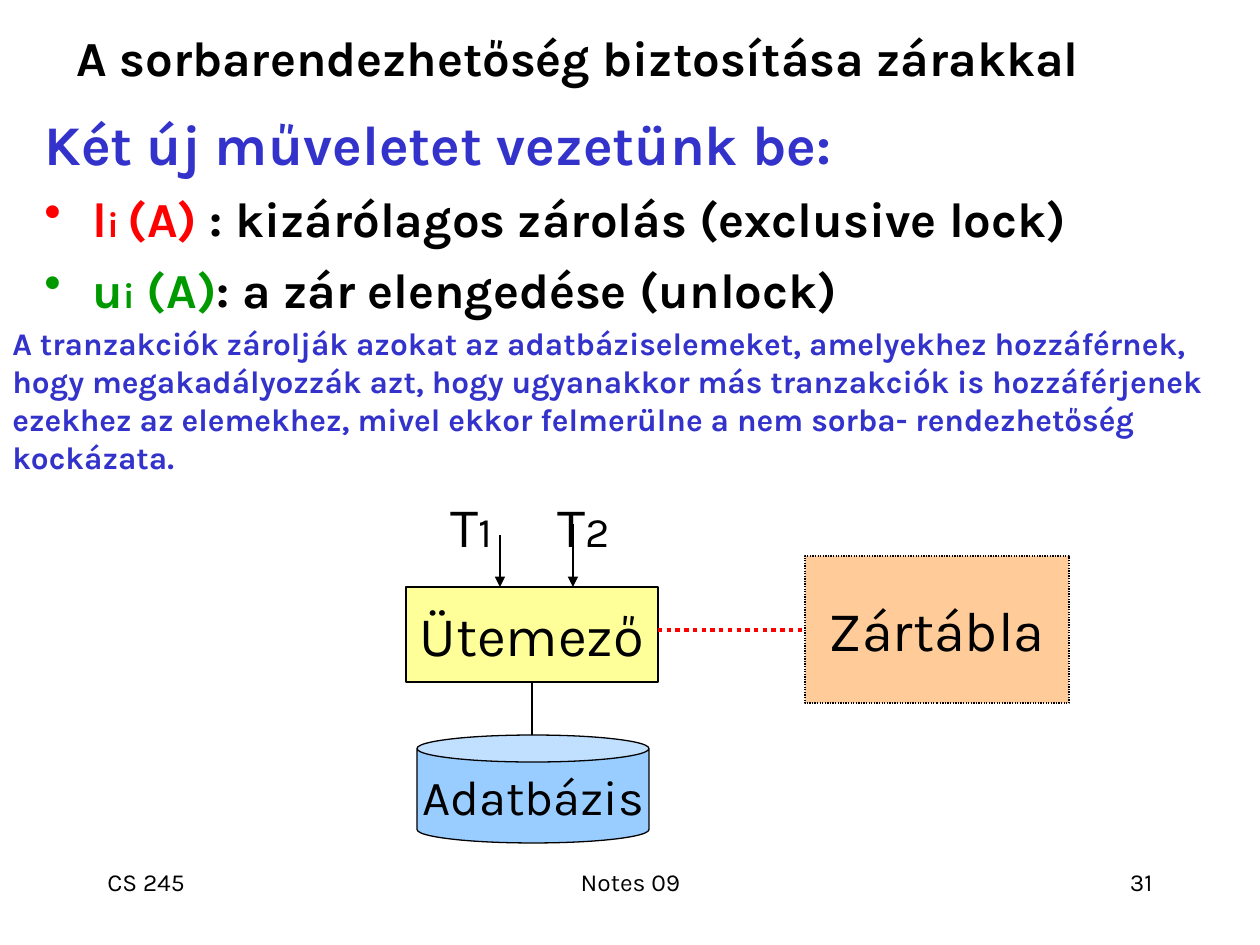
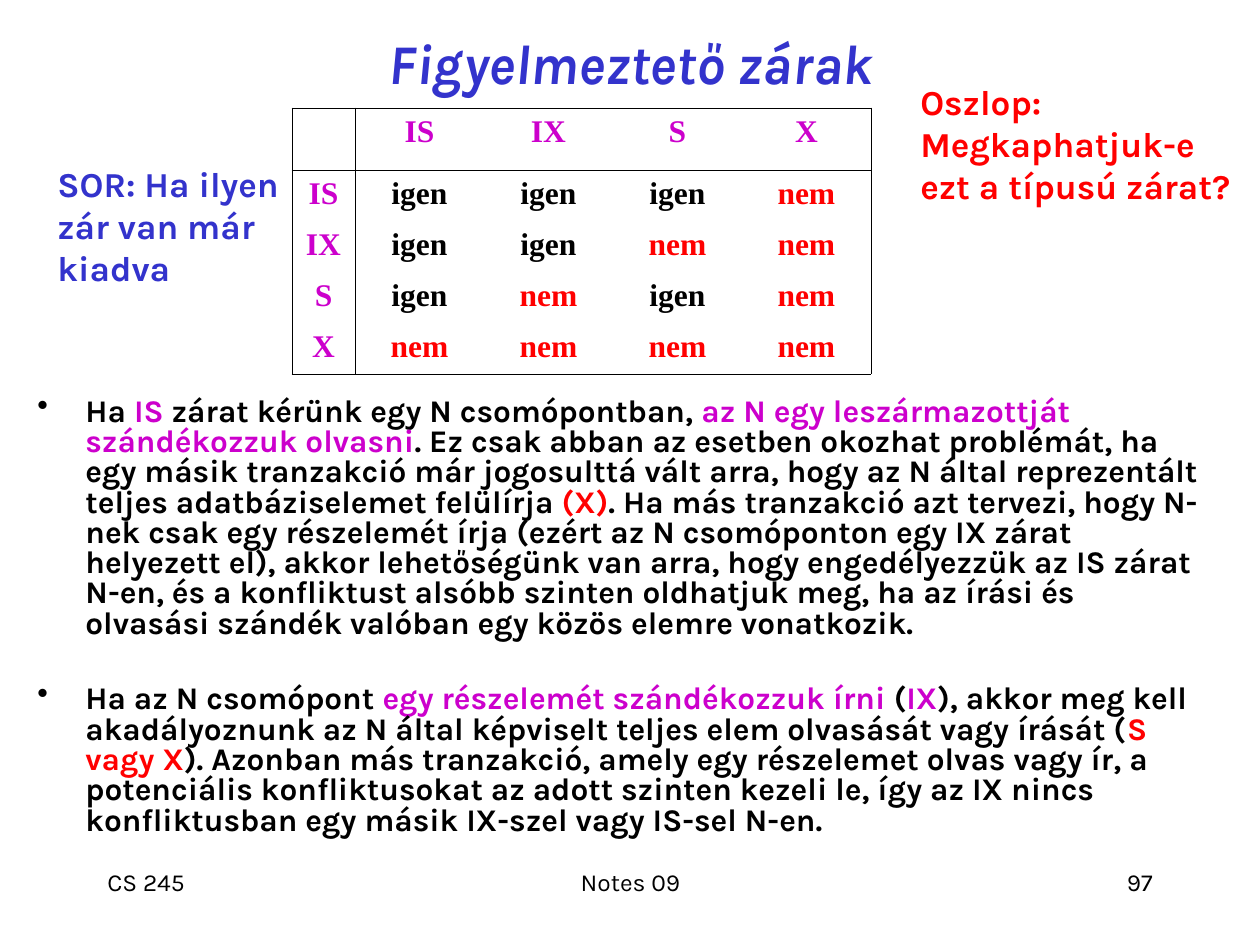
"""Build two lecture slides on locking: the lock operations and the warning locks."""
import pptx
import pptx.dml.color
import pptx.enum.dml
import pptx.enum.shapes
import pptx.enum.text
import pptx.oxml
import pptx.oxml.ns
import pptx.util

RGB = pptx.dml.color.RGBColor
Pt = pptx.util.Pt
ALIGN = pptx.enum.text.PP_ALIGN
ANCHOR = pptx.enum.text.MSO_ANCHOR
SHAPE = pptx.enum.shapes.MSO_SHAPE
DOT = pptx.enum.dml.MSO_LINE.ROUND_DOT
NS = pptx.oxml.ns.nsdecls("a")

BLACK = RGB(0, 0, 0)
BLUE = RGB(0x33, 0x33, 0xCC)
RED = RGB(0xFF, 0, 0)
GREEN = RGB(0, 0x99, 0)
PURPLE = RGB(0xCC, 0, 0xCC)
YELLOW = RGB(0xFF, 0xFF, 0x99)
SKY = RGB(0x99, 0xCC, 0xFF)
PEACH = RGB(0xFF, 0xCC, 0x99)
FONT = "Karla"
SERIF = "Times New Roman"
HANG = 48

FOOT = [("CS 245", (95, 861, 262, 63), ALIGN.LEFT),
        ("Notes 09", (431, 861, 399, 63), ALIGN.CENTER)]
PAGE = (903, 861, 262, 63)

INTRO = [
    (None, 0, [("Két új műveletet vezetünk be:", BLUE, 32)]),
    (RED, 7, [("l", RED), ("i ", RED, 20), ("(A) ", RED),
              (": kizárólagos zárolás (exclusive lock)",)]),
    (GREEN, 7, [("u", GREEN), ("i", GREEN, 20), (" (A)", GREEN),
                (": a zár elengedése (unlock)",)]),
]
REASON = ("A tranzakciók zárolják azokat az adatbáziselemeket, amelyekhez hozzáférnek, "
          "hogy megakadályozzák azt, hogy ugyanakkor más tranzakciók is hozzáférjenek "
          "ezekhez az elemekhez, mivel ekkor felmerülne a nem sorba- rendezhetőség kockázata.")
NODES = [
    ("Ütemező", SHAPE.RECTANGLE, (406, 587, 252, 95), YELLOW, 32, None),
    ("Adatbázis", SHAPE.CAN, (417, 735, 232, 108), SKY, 28, None),
    ("Zártábla", SHAPE.RECTANGLE, (805, 556, 264, 147), PEACH, 32, DOT),
]
TASKS = [("1", 431), ("2", 544)]
LINKS = [
    ((532, 682, 532, 735), BLACK, 0.75, None, False),
    ((500, 535, 500, 587), BLACK, 0.75, None, True),
    ((573, 524, 573, 587), BLACK, 0.75, None, True),
    ((658, 630, 805, 630), RED, 2.5, DOT, False),
]

GRID = [
    ["", "IS", "IX", "S", "X"],
    ["IS", "igen", "igen", "igen", "nem"],
    ["IX", "igen", "igen", "nem", "nem"],
    ["S", "igen", "nem", "igen", "nem"],
    ["X", "nem", "nem", "nem", "nem"],
]
HUES = {"igen": BLACK, "nem": RED}
COLS = [63] + [129] * 4
ROWS = [62] + [51] * 4
SIDES = [
    ("SOR: Ha ilyen zár van már kiadva", (45, 156, 258, 139), BLUE),
    ("Oszlop: Megkaphatjuk-e ezt a típusú zárat?", (908, 74, 352, 139), RED),
]
RULES = [
    (BLACK, 0, [
        ("Ha ",), ("IS ", PURPLE), ("zárat kérünk egy N csomópontban, ",),
        ("az N egy leszármazottját szándékozzuk olvasni", PURPLE),
        (". Ez csak abban az esetben okozhat problémát, ha egy másik tranzakció már "
         "jogosulttá vált arra, hogy az N által reprezentált teljes adatbáziselemet "
         "felülírja",),
        (" (X)", RED),
        (". Ha más tranzakció azt tervezi, hogy N-nek csak egy részelemét írja (ezért "
         "az N csomóponton egy IX zárat helyezett el), akkor lehetőségünk van arra, "
         "hogy engedélyezzük az IS zárat N-en, és a konfliktust alsóbb szinten "
         "oldhatjuk meg, ha az írási és olvasási szándék valóban egy közös elemre "
         "vonatkozik.",)]),
    (BLACK, 26, [
        ("Ha az N csomópont ",), ("egy részelemét szándékozzuk írni", PURPLE),
        (" (",), ("IX", PURPLE),
        ("), akkor meg kell akadályoznunk az N által képviselt teljes elem olvasását "
         "vagy írását (",),
        ("S vagy X", RED),
        ("). Azonban más tranzakció, amely egy részelemet olvas vagy ír, a potenciális "
         "konfliktusokat az adott szinten kezeli le, így az IX nincs konfliktusban egy "
         "másik IX-szel vagy IS-sel N-en.",)]),
]


def px(num):
    """Turn px into EMU."""
    return round(num * 914400 / 126)


def spot(box):
    """Turn a box in px into EMU."""
    return [px(num) for num in box]


def mark(para, hue):
    """Give a paragraph a hanging bullet."""
    props = para._p.get_or_add_pPr()
    props.set("marL", str(px(HANG)))
    props.set("indent", str(-px(HANG)))
    for xml in (f'<a:buClr {NS}><a:srgbClr val="{hue}"/></a:buClr>',
                f'<a:buChar {NS} char="•"/>'):
        props.append(pptx.oxml.parse_xml(xml))


def write(frame, text, size=18, hue=BLACK, bold=False, slant=False, font=FONT,
          align=ALIGN.LEFT, anchor=ANCHOR.TOP, wrap=True, lead=None):
    """Fill a text frame with a string or with (bullet, gap, runs) paragraphs."""
    frame.word_wrap = wrap
    frame.vertical_anchor = anchor
    paras = [(None, 0, [(text,)])] if isinstance(text, str) else text
    for at, (dot, gap, runs) in enumerate(paras):
        para = frame.add_paragraph() if at else frame.paragraphs[0]
        if dot is not None:
            mark(para, dot)
        para.alignment = align
        para.space_before = Pt(gap)
        if lead:
            para.line_spacing = lead
        for words, *form in runs:
            run = para.add_run()
            run.text = words
            run.font.name = font
            run.font.bold = bold
            run.font.italic = slant
            run.font.color.rgb = form[0] if form else hue
            run.font.size = Pt(form[1] if len(form) > 1 else size)


def label(slide, text, box, **form):
    """Add a text box."""
    write(slide.shapes.add_textbox(*spot(box)).text_frame, text, **form)


def start(deck, title, box, page, **form):
    """Add a slide with its title and footer."""
    slide = deck.slides.add_slide(deck.slide_layouts[5])
    head = slide.shapes.title
    head.left, head.top, head.width, head.height = spot(box)
    head.text_frame.auto_size = pptx.enum.text.MSO_AUTO_SIZE.NONE
    write(head.text_frame, title, bold=True, anchor=ANCHOR.MIDDLE, **form)
    for text, place, align in FOOT + [(page, PAGE, ALIGN.RIGHT)]:
        label(slide, text, place, size=14, align=align)
    return slide


def stroke(line, hue, width, dash):
    """Format a line."""
    line.color.rgb = hue
    line.width = Pt(width)
    if dash:
        line.dash_style = dash


def node(slide, text, kind, box, fill, size, dash):
    """Add a filled shape with centred text."""
    shape = slide.shapes.add_shape(kind, *spot(box))
    shape.shadow.inherit = False
    shape.fill.solid()
    shape.fill.fore_color.rgb = fill
    stroke(shape.line, BLACK, 0.75, dash)
    write(shape.text_frame, text, size=size, align=ALIGN.CENTER,
          anchor=ANCHOR.MIDDLE, wrap=False)


def link(slide, ends, hue, width, dash, arrow):
    """Add a straight line, with an arrowhead if asked."""
    kind = pptx.enum.shapes.MSO_CONNECTOR.STRAIGHT
    wire = slide.shapes.add_connector(kind, *spot(ends))
    stroke(wire.line, hue, width, dash)
    if arrow:
        wire.line._get_or_add_ln().append(
            pptx.oxml.parse_xml(f'<a:tailEnd {NS} type="triangle"/>'))
    wire._element.spPr.append(pptx.oxml.parse_xml(f"<a:effectLst {NS}/>"))


def edge(cell, row, col):
    """Draw the frame, the header rule and the first column rule."""
    last = len(GRID) - 1
    shown = {"L": col < 2, "R": col in (0, last), "T": row < 2, "B": row in (0, last)}
    props = cell._tc.get_or_add_tcPr()
    for at, (side, on) in enumerate(shown.items()):
        paint = (f'<a:solidFill><a:srgbClr val="{BLACK}"/></a:solidFill>'
                 if on else "<a:noFill/>")
        props.insert(at, pptx.oxml.parse_xml(
            f'<a:ln{side} {NS} w="{Pt(0.45)}">{paint}</a:ln{side}>'))


def matrix(slide, left, top):
    """Add the table of lock pairs."""
    size = len(ROWS), len(COLS)
    table = slide.shapes.add_table(
        *size, *spot((left, top, sum(COLS), sum(ROWS)))).table
    table.first_row = table.horz_banding = False
    for col, width in zip(table.columns, COLS):
        col.width = px(width)
    for row, height in zip(table.rows, ROWS):
        row.height = px(height)
    for row, words in enumerate(GRID):
        for col, word in enumerate(words):
            cell = table.cell(row, col)
            cell.fill.background()
            edge(cell, row, col)
            if word:
                write(cell.text_frame, word, hue=HUES.get(word, PURPLE), bold=True,
                      font=SERIF, align=ALIGN.CENTER)


def main():
    """Build and save the deck."""
    deck = pptx.Presentation()
    deck.slide_width, deck.slide_height = px(1260), px(945)

    slide = start(deck, "A sorbarendezhetőség biztosítása zárakkal",
                  (64, 16, 1142, 82), "31", size=28)
    label(slide, INTRO, (32, 103, 1228, 702), size=28, bold=True)
    for item in NODES:
        node(slide, *item)
    for num, left in TASKS:
        label(slide, [(None, 0, [("T", BLACK, 32), (num, BLACK, 24)])],
              (left, 485, 80, 81), align=ALIGN.CENTER, anchor=ANCHOR.MIDDLE, wrap=False)
    for item in LINKS:
        link(slide, *item)
    label(slide, REASON, (0, 318, 1260, 164), hue=BLUE, bold=True)

    slide = start(deck, "Figyelmeztető zárak", (95, 22, 1071, 80), "97",
                  size=32, hue=BLUE, slant=True, align=ALIGN.CENTER)
    label(slide, RULES, (25, 392, 1191, 523), bold=True, lead=0.8)
    matrix(slide, 292, 108)
    for text, box, hue in SIDES:
        label(slide, text, box, size=20, hue=hue, bold=True)

    deck.save("out.pptx")


if __name__ == "__main__":
    main()
